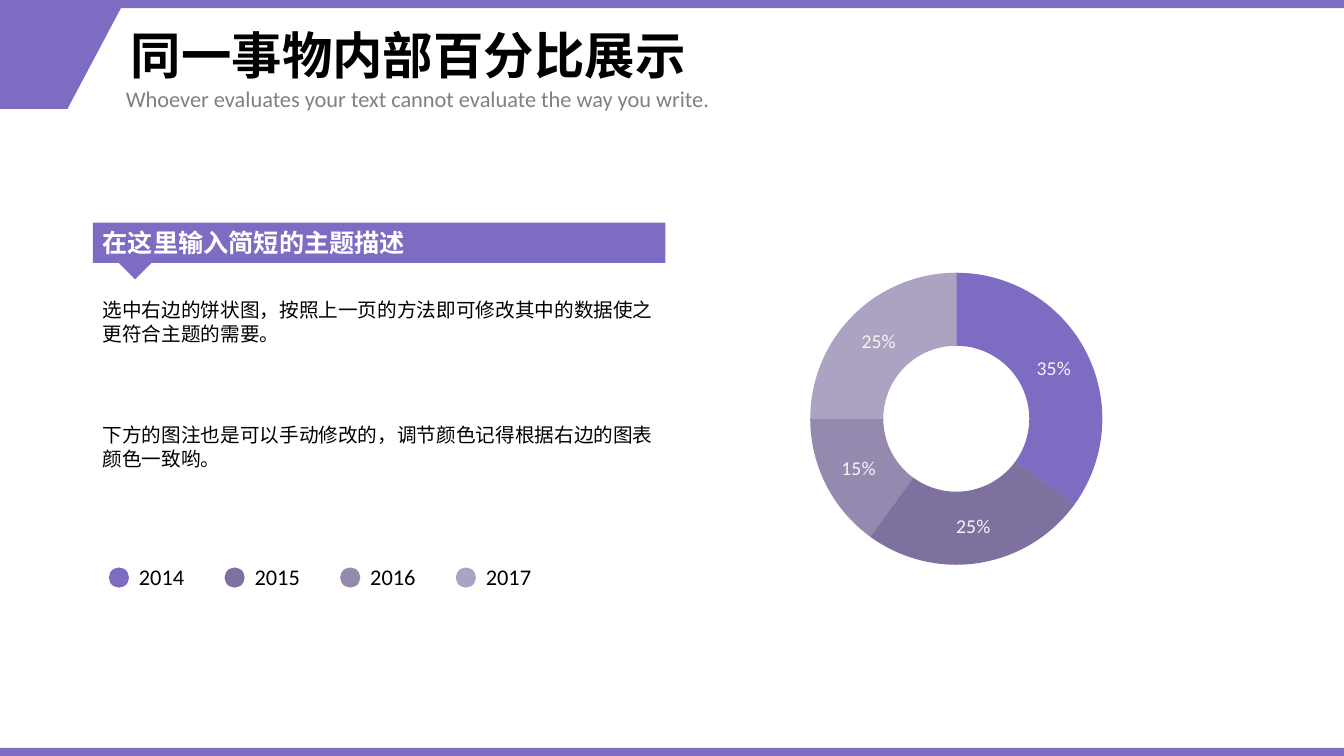
import pptx
import pptx.chart.data
import pptx.dml.color
import pptx.enum.chart
import pptx.enum.shapes
import pptx.enum.text
import pptx.oxml
import pptx.oxml.ns
import pptx.util
from lxml import etree
from pptx.util import Inches

COLORS = {
    "purple": "7E6CC3",
    "muted": "68578F",
    "black": "000000",
    "gray": "808080",
    "white": "FFFFFF",
    "label": "F5F5F5",
}
CJK = "Noto Sans CJK SC"
LATIN = "Calibri"
SHAPES = pptx.enum.shapes.MSO_SHAPE
ANCHORS = pptx.enum.text.MSO_ANCHOR
AUTO_SIZE = pptx.enum.text.MSO_AUTO_SIZE

# year, share, colour, opacity in percent
YEARS = [
    ("2014", 0.35, "purple", 100),
    ("2015", 0.25, "muted", 85),
    ("2016", 0.15, "muted", 70),
    ("2017", 0.25, "muted", 55),
]


def rgb(color):
    return pptx.dml.color.RGBColor.from_string(COLORS[color])


def paint(fill, color, opacity=100):
    fill.solid()
    fill.fore_color.rgb = rgb(color)
    if opacity < 100:
        for value in fill._xPr.iter(pptx.oxml.ns.qn("a:srgbClr")):
            alpha = etree.SubElement(value, pptx.oxml.ns.qn("a:alpha"))
            alpha.set("val", str(opacity * 1000))


def finish(shape, color, opacity=100):
    """Give a shape a plain fill without outline or shadow."""
    shape.shadow.inherit = False
    shape.line.fill.background()
    paint(shape.fill, color, opacity)
    return shape


def add_block(slide, kind, box, color="purple", opacity=100):
    block = slide.shapes.add_shape(kind, *map(Inches, box))
    return finish(block, color, opacity)


def write(shape, text, size, face, color, bold=False, wrap=True):
    """Write one left-aligned paragraph into a shape and return it."""
    frame = shape.text_frame
    frame.word_wrap = wrap
    frame.auto_size = AUTO_SIZE.SHAPE_TO_FIT_TEXT
    frame.vertical_anchor = ANCHORS.TOP
    paragraph = frame.paragraphs[0]
    paragraph.alignment = pptx.enum.text.PP_ALIGN.LEFT
    run = paragraph.add_run()
    run.text = text
    run.font.size = pptx.util.Pt(size)
    run.font.name = face
    run.font.bold = bold
    run.font.color.rgb = rgb(color)
    east_asian = etree.SubElement(run.font._element, pptx.oxml.ns.qn("a:ea"))
    east_asian.set("typeface", face)
    return paragraph


def add_text(slide, box, *args, **kwargs):
    label = slide.shapes.add_textbox(*map(Inches, box))
    write(label, *args, **kwargs)
    return label


def add_frame(slide):
    """Draw the slanted corner and the bars along the top and bottom edges."""
    outline = slide.shapes.build_freeform(0, Inches(0.08))
    corners = [(1.2, 0.08), (0.67, 1.08), (0, 1.08)]
    outline.add_line_segments([(Inches(x), Inches(y)) for x, y in corners])
    finish(outline.convert_to_shape(), "purple")
    for top in (0, 7.42):
        add_block(slide, SHAPES.RECTANGLE, (0, top, 13.33, 0.08))


def add_heading(slide):
    title = add_text(slide, (1.2, 0.08, 11.22, 1), "同一事物内部百分比展示",
                     36, CJK, "black", bold=True)
    title.text_frame.auto_size = AUTO_SIZE.NONE
    title.text_frame.vertical_anchor = ANCHORS.MIDDLE
    title.text_frame.paragraphs[0].line_spacing = 0.9
    add_text(slide, (1.15, 0.8, 7.8, 0.37),
             "Whoever evaluates your text cannot evaluate the way you write.",
             16, LATIN, "gray")


def add_share_chart(slide):
    data = pptx.chart.data.CategoryChartData(number_format="0%")
    data.categories = [str(i + 1) for i in range(len(YEARS))]
    data.add_series("Series 1", [share for _, share, _, _ in YEARS])
    chart = slide.shapes.add_chart(
        pptx.enum.chart.XL_CHART_TYPE.DOUGHNUT,
        Inches(7.91), Inches(2.58), Inches(3.15), Inches(3.15), data).chart
    chart.has_legend = False
    chart.has_title = False
    chart.font.size = pptx.util.Pt(10)
    chart.font.name = LATIN
    chart.font.color.rgb = rgb("black")

    plot = chart.plots[0]
    plot.vary_by_categories = True
    shares = plot.series[0]
    for i, (_, _, color, opacity) in enumerate(YEARS):
        slice_format = shares.points[i].format
        paint(slice_format.fill, color, opacity)
        slice_format.line.fill.background()

    labels = shares.data_labels
    labels.show_value = True
    labels.show_percentage = False
    labels.number_format = "0%"
    labels.number_format_is_linked = False
    labels.font.size = pptx.util.Pt(14)
    labels.font.name = LATIN
    labels.font.color.rgb = rgb("label")

    for hole in chart._chartSpace.xpath(".//c:holeSize"):
        hole.set("val", "35")
    place_plot(chart, 0.04, 0.92)


def place_plot(chart, margin, extent):
    """Fix the inner plot area as a square, in fractions of the chart."""
    plot_area = chart._chartSpace.xpath(".//c:plotArea")[0]
    for layout in plot_area.xpath("c:layout"):
        plot_area.remove(layout)
    settings = {"layoutTarget": "inner", "xMode": "edge", "yMode": "edge",
                "x": margin, "y": margin, "w": extent, "h": extent}
    items = "".join(f'<c:{tag} val="{value}"/>' for tag, value in settings.items())
    namespace = pptx.oxml.ns.nsdecls("c")
    plot_area.insert(0, pptx.oxml.parse_xml(
        f"<c:layout {namespace}><c:manualLayout>{items}</c:manualLayout></c:layout>"))


def add_description(slide):
    left, width = 0.92, 5.68
    banner = add_block(slide, SHAPES.RECTANGLE, (left, 2.21, width, 0.4))
    write(banner, "在这里输入简短的主题描述", 18, CJK, "white", bold=True)
    pointer = add_block(slide, SHAPES.RIGHT_TRIANGLE, (1.22, 2.48, 0.24, 0.24))
    pointer.rotation = 315
    notes = [
        (2.91, "选中右边的饼状图，按照上一页的方法即可修改其中的数据使之更符合主题的需要。"),
        (4.15, "下方的图注也是可以手动修改的，调节颜色记得根据右边的图表颜色一致哟。"),
    ]
    for top, note in notes:
        add_text(slide, (left, top, width, 0.57), note, 14, CJK, "black")


def add_year_key(slide):
    for i, (year, _, color, opacity) in enumerate(YEARS):
        left = 1.08 + i * 1.147
        add_block(slide, SHAPES.OVAL, (left, 5.63, 0.2, 0.2), color, opacity)
        add_text(slide, (left + 0.2, 5.54, 0.66, 0.37), year,
                 16, LATIN, "black", wrap=False)


def main():
    deck = pptx.Presentation()
    deck.slide_width = Inches(13.33)
    deck.slide_height = Inches(7.5)
    slide = deck.slides.add_slide(deck.slide_layouts[6])
    add_frame(slide)
    add_heading(slide)
    add_share_chart(slide)
    add_description(slide)
    add_year_key(slide)
    deck.save("out.pptx")


if __name__ == "__main__":
    main()
